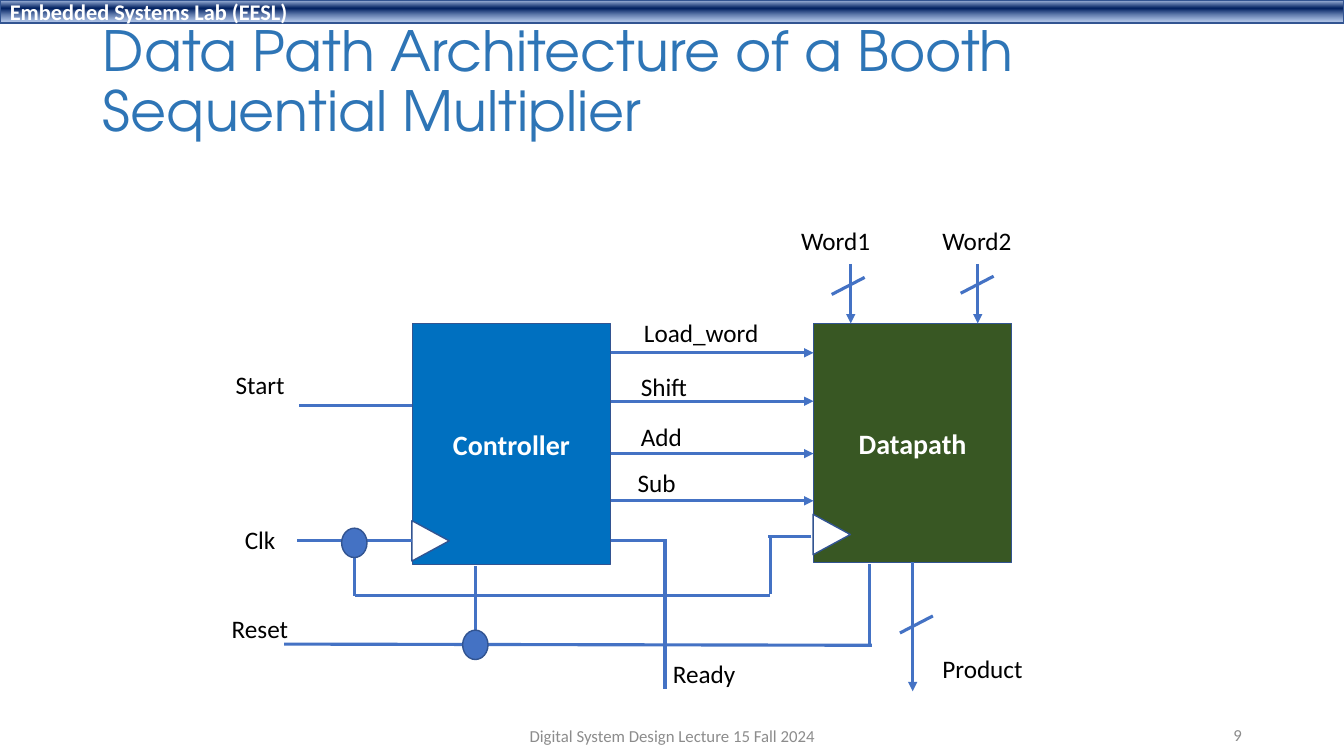
from lxml import etree
from pptx import Presentation
from pptx.dml.color import RGBColor
from pptx.enum.shapes import MSO_CONNECTOR, MSO_SHAPE
from pptx.enum.text import MSO_ANCHOR, MSO_AUTO_SIZE, PP_ALIGN
from pptx.oxml.ns import qn
from pptx.util import Cm, Pt

LEFT, CENTER, RIGHT = PP_ALIGN.LEFT, PP_ALIGN.CENTER, PP_ALIGN.RIGHT
MIDDLE = MSO_ANCHOR.MIDDLE
FIT_SHAPE, NO_FIT = MSO_AUTO_SIZE.SHAPE_TO_FIT_TEXT, MSO_AUTO_SIZE.NONE
STRAIGHT = MSO_CONNECTOR.STRAIGHT
RECTANGLE, TRIANGLE, OVAL = MSO_SHAPE.RECTANGLE, MSO_SHAPE.ISOSCELES_TRIANGLE, MSO_SHAPE.OVAL
color = RGBColor.from_string
BLUE, OUTLINE, WHITE, BLACK, GRAY = "4472C4", "325491", "FFFFFF", "000000", "8C8C8C"


def write(shape, text, size, hex_color, align=LEFT, bold=False, font="Calibri"):
    shape.text_frame.text = text
    para = shape.text_frame.paragraphs[0]
    para.alignment = align
    span = para.runs[0]
    span.font.name = font
    span.font.size = Pt(size)
    span.font.bold = bold
    span.font.color.rgb = color(hex_color)


def add_block(preset, left, top, width, height, fill):
    block = slide.shapes.add_shape(preset, Cm(left), Cm(top), Cm(width), Cm(height))
    block.shadow.inherit = False
    block.fill.solid()
    block.fill.fore_color.rgb = color(fill)
    block.line.color.rgb = color(OUTLINE)
    block.line.width = Pt(1)
    block.text_frame.vertical_anchor = MIDDLE
    return block


deck = Presentation()
deck.slide_width, deck.slide_height = Cm(33.87), Cm(19.05)
slide = deck.slides.add_slide(deck.slide_layouts[5])

banner = add_block(RECTANGLE, 0, 0, 33.87, 0.58, "002060")
write(banner, "Embedded Systems Lab (EESL)", 16, WHITE, bold=True)
banner.fill.gradient()
banner.fill.gradient_angle = 270
stops = banner.fill._fill._gradFill.find(qn("a:gsLst"))
for stop in list(stops):
    stops.remove(stop)
for position, hex_color, opacity in [(2, "ABC0E4", 100), (38, "002060", 100), (93, "7E9ED6", 64)]:
    stop = etree.SubElement(stops, qn("a:gs"), pos=str(position * 1000))
    shade = etree.SubElement(stop, qn("a:srgbClr"), val=hex_color)
    etree.SubElement(shade, qn("a:alpha"), val=str(opacity * 1000))

title = slide.shapes.title
title.left, title.top, title.width, title.height = Cm(2.34), Cm(0.38), Cm(29.21), Cm(3.45)
write(title, "Data Path Architecture of a Booth Sequential Multiplier", 39.6, "2E75B6",
      font="TeX Gyre Adventor")
title.text_frame.auto_size = NO_FIT
title.text_frame.vertical_anchor = MIDDLE
title.text_frame.paragraphs[0].line_spacing = 0.9

footers = [
    ("Digital System Design Lecture 15 Fall 2024", 11.23, 18.03, 11.43, CENTER),
    ("9", 23.93, 18.01, 7.62, RIGHT),
]
for text, left, top, width, align in footers:
    box = slide.shapes.add_textbox(Cm(left), Cm(top), Cm(width), Cm(1.02))
    box.text_frame.word_wrap = True
    box.text_frame.vertical_anchor = MIDDLE
    write(box, text, 12, GRAY, align)

controller = add_block(RECTANGLE, 10.39, 8.15, 5, 6.07, "0070C0")
datapath = add_block(RECTANGLE, 20.5, 8.15, 5, 6.02, "385723")
write(controller, "Controller", 20, WHITE, CENTER, True)
write(datapath, "Datapath", 20, WHITE, CENTER, True)

for left, top in [(10.34, 13.16), (20.45, 13)]:
    clock_input = add_block(TRIANGLE, left, top, 1.02, 0.94, WHITE)
    clock_input.rotation = 90

control_arrows = [(15.39, y, 20.5, y) for y in (8.89, 10.11, 11.43, 12.62)]
word_arrows = [(x, 6.65, x, 8.15) for x in (21.44, 24.64)]
product_arrow = (23, 14.17, 23, 17.42)
arrows = control_arrows + word_arrows + [product_arrow]
bus_slashes = [(x, y, x + 0.83, y - 0.43) for x, y in [(20.96, 7.42), (24.21, 7.39), (22.68, 15.95)]]
start_wire = [(7.54, 10.21, 10.39, 10.21)]
clock_wires = [
    (10.39, 13.61, 7.49, 13.61),
    (20.45, 13.51, 19.35, 13.51),
    (19.41, 13.54, 19.41, 14.96),
    (19.41, 15.01, 8.94, 15.01),
    (8.94, 15.01, 8.94, 13.61),
]
reset_wires = [
    (11.99, 14.27, 11.99, 16.31),
    (21.92, 14.22, 21.92, 16.31),
    (21.97, 16.26, 7.16, 16.23),
]
ready_wires = [(15.39, 13.61, 16.76, 13.61), (16.76, 13.59, 16.76, 17.37)]

for ends in arrows + bus_slashes + start_wire + clock_wires + reset_wires + ready_wires:
    wire = slide.shapes.add_connector(STRAIGHT, *[Cm(value) for value in ends])
    wire.line.color.rgb = color(BLUE)
    wire.line.width = Pt(2.25)
    if ends in arrows:
        etree.SubElement(wire.line._get_or_add_ln(), qn("a:tailEnd"), type="triangle")
    etree.SubElement(wire._element.spPr, qn("a:effectLst"))
    if ends == product_arrow:
        wire.begin_connect(datapath, 2)

for left, top in [(8.61, 13.31), (11.66, 15.88)]:
    add_block(OVAL, left, top, 0.64, 0.74, BLUE)

labels = [
    ("Load_word", 15.98, 7.87, 3.43),
    ("Shift", 15.9, 9.22, 1.7),
    ("Add", 15.9, 10.49, 1.55),
    ("Sub", 15.82, 11.66, 1.47),
    ("Start", 5.69, 9.19, 1.75),
    ("Clk", 5.92, 13.08, 1.3),
    ("Reset", 5.59, 15.32, 1.96),
    ("Word1", 19.94, 5.56, 2.26),
    ("Word2", 23.5, 5.56, 2.26),
    ("Product", 23.5, 16.33, 2.57),
    ("Ready", 16.71, 16.46, 2.11),
]
for text, left, top, width in labels:
    label = slide.shapes.add_textbox(Cm(left), Cm(top), Cm(width), Cm(1.02))
    label.text_frame.word_wrap = False
    label.text_frame.auto_size = FIT_SHAPE
    write(label, text, 18, BLACK)

deck.save("out.pptx")
